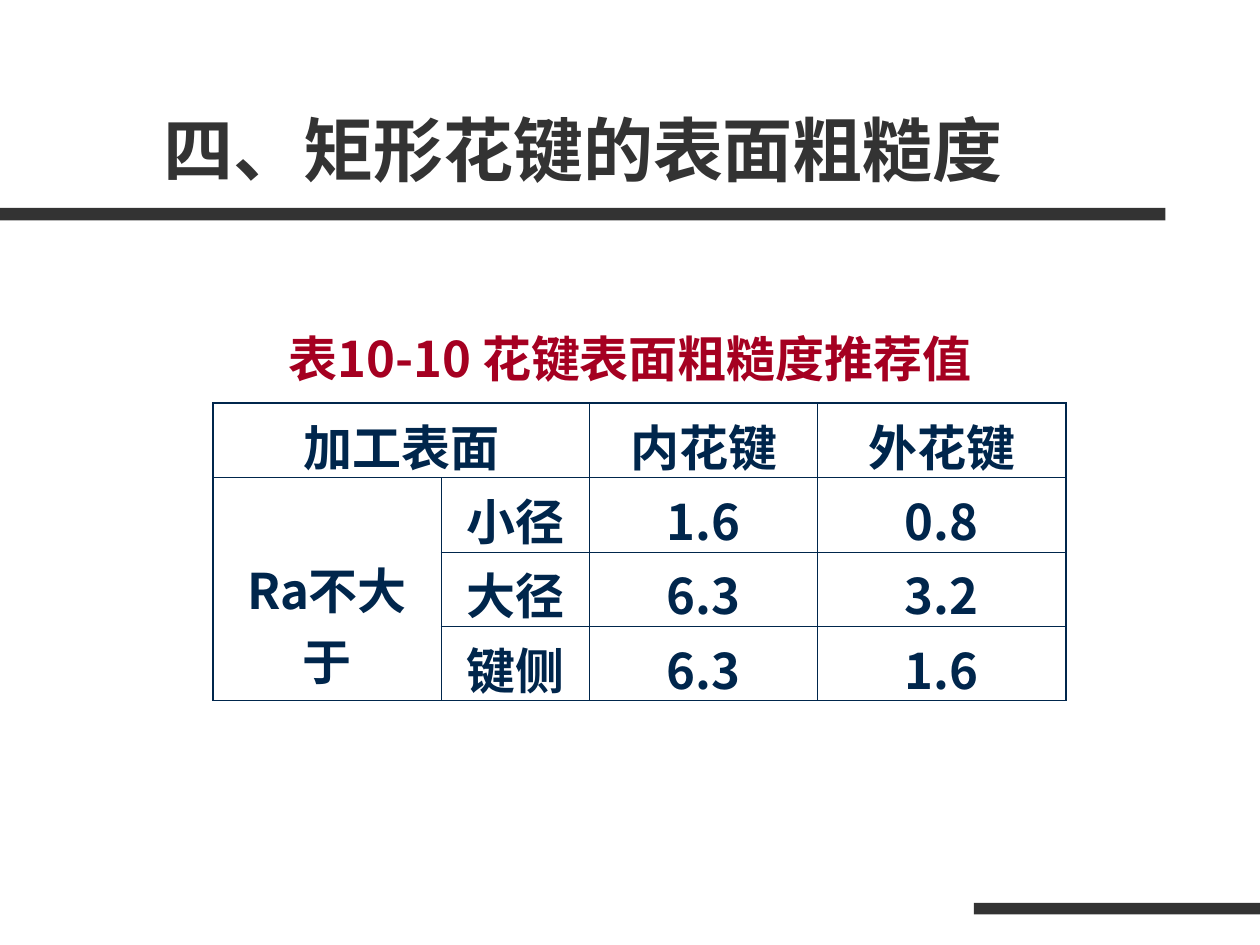
from lxml import etree
from pptx import Presentation
from pptx.dml.color import RGBColor
from pptx.enum.shapes import MSO_SHAPE
from pptx.enum.text import MSO_ANCHOR, PP_ALIGN
from pptx.oxml.ns import qn
from pptx.util import Pt

RECTANGLE = MSO_SHAPE.RECTANGLE
BOTTOM = MSO_ANCHOR.BOTTOM
LEFT, CENTER = PP_ALIGN.LEFT, PP_ALIGN.CENTER
GRAY, RED, NAVY = "333333", "A50021", "00264C"
SANS, SERIF = "Noto Sans CJK SC", "Times New Roman"
THIN, THICK = 0.45, 1.08


def color(value):
    return RGBColor.from_string(value)


def write(frame, text, size, font, ink, align):
    frame.text = text
    frame.word_wrap = True
    para = frame.paragraphs[0]
    para.alignment = align
    span = para.runs[0]
    span.font.size = Pt(size)
    span.font.bold = True
    span.font.name = font
    span.font.color.rgb = color(ink)
    east_asian = etree.SubElement(span.font._element, qn("a:ea"))
    east_asian.set("typeface", SANS)


deck = Presentation()
deck.slide_width, deck.slide_height = Pt(720), Pt(540)
page = deck.slides.add_slide(deck.slide_layouts[6])

for left, top, width, height in [(0, 118.8, 666, 7.2), (556.5, 516, 163.5, 6.5)]:
    bar = page.shapes.add_shape(RECTANGLE, Pt(left), Pt(top), Pt(width), Pt(height))
    bar.shadow.inherit = False
    bar.fill.solid()
    bar.fill.fore_color.rgb = color(GRAY)
    bar.line.fill.background()

title = page.shapes.add_textbox(Pt(86.4), Pt(22.5), Pt(612), Pt(90))
write(title.text_frame, "四、矩形花键的表面粗糙度", 40, SERIF, GRAY, LEFT)
title.text_frame.vertical_anchor = BOTTOM

caption = page.shapes.add_textbox(Pt(144.7), Pt(190.8), Pt(430.6), Pt(35.3))
write(caption.text_frame, "表10-10 花键表面粗糙度推荐值", 28, SANS, RED, CENTER)
caption.text_frame.paragraphs[0].line_spacing = 0.8

rows = [
    ["加工表面", "", "内花键", "外花键"],
    ["Ra不大于", "小径", "1.6", "0.8"],
    ["", "大径", "6.3", "3.2"],
    ["", "键侧", "6.3", "1.6"],
]
widths = [130.3, 85, 130.3, 141.8]
row_height = 42.5
last_row, last_column = len(rows) - 1, len(widths) - 1

frame = page.shapes.add_table(
    len(rows), len(widths), Pt(121.7), Pt(230.4), Pt(sum(widths)), Pt(row_height * len(rows))
)
table = frame.table
table.first_row = table.horz_banding = False
for column, width in zip(table.columns, widths):
    column.width = Pt(width)
for row in table.rows:
    row.height = Pt(row_height)

for r, values in enumerate(rows):
    for c, value in enumerate(values):
        cell = table.cell(r, c)
        if value:
            write(cell.text_frame, value, 28, SANS, NAVY, CENTER)
        outer = {"L": c == 0, "R": c == last_column, "T": r == 0, "B": r == last_row}
        properties = cell._tc.get_or_add_tcPr()
        for side, is_outer in outer.items():
            line = etree.SubElement(properties, qn("a:ln" + side))
            line.set("w", str(Pt(THICK if is_outer else THIN)))
            fill = etree.SubElement(line, qn("a:solidFill"))
            etree.SubElement(fill, qn("a:srgbClr")).set("val", NAVY)
        cell.fill.background()

table.cell(0, 0).merge(table.cell(0, 1))
table.cell(1, 0).merge(table.cell(last_row, 0))
table.cell(1, 0).margin_top = Pt(43)

deck.save("out.pptx")
